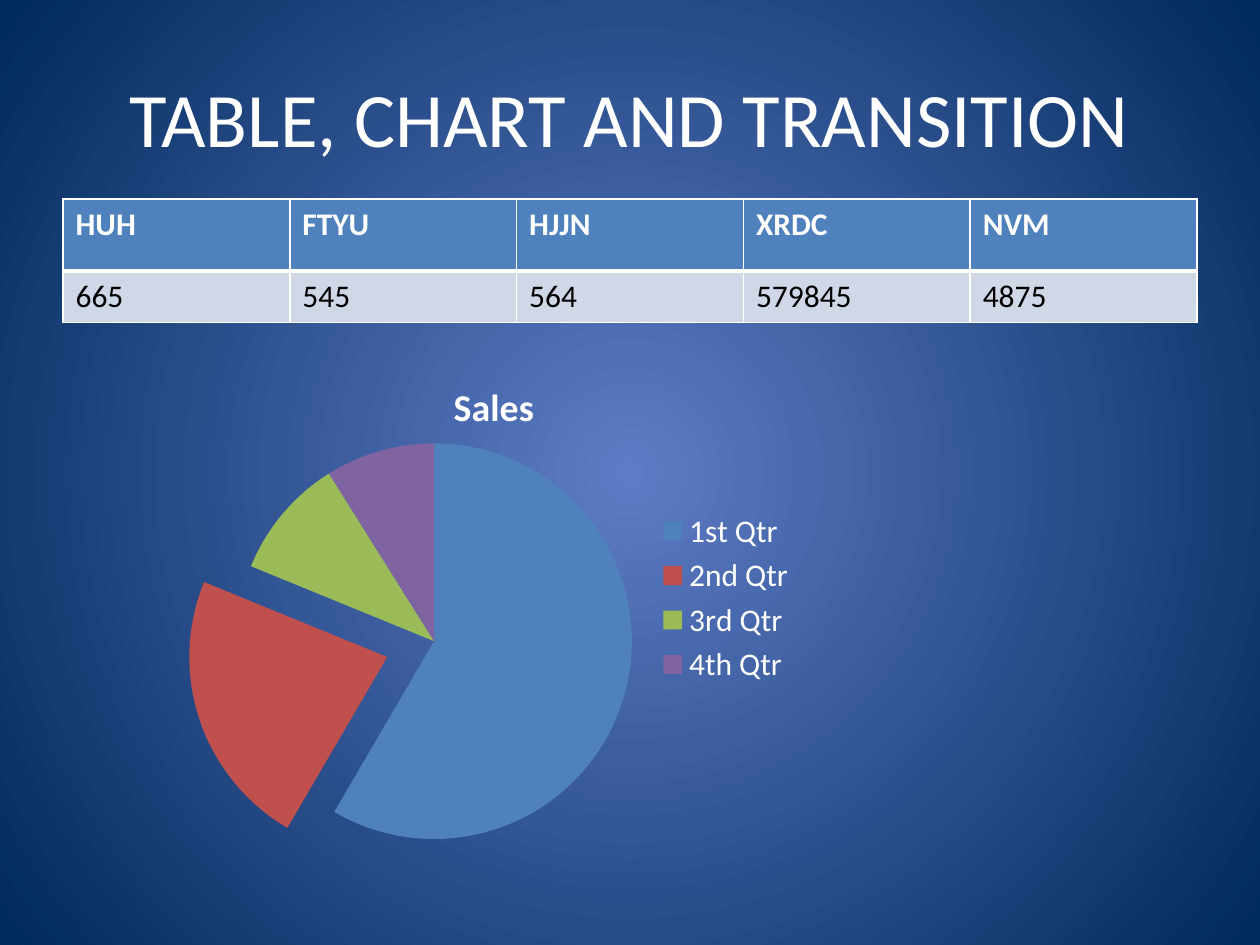
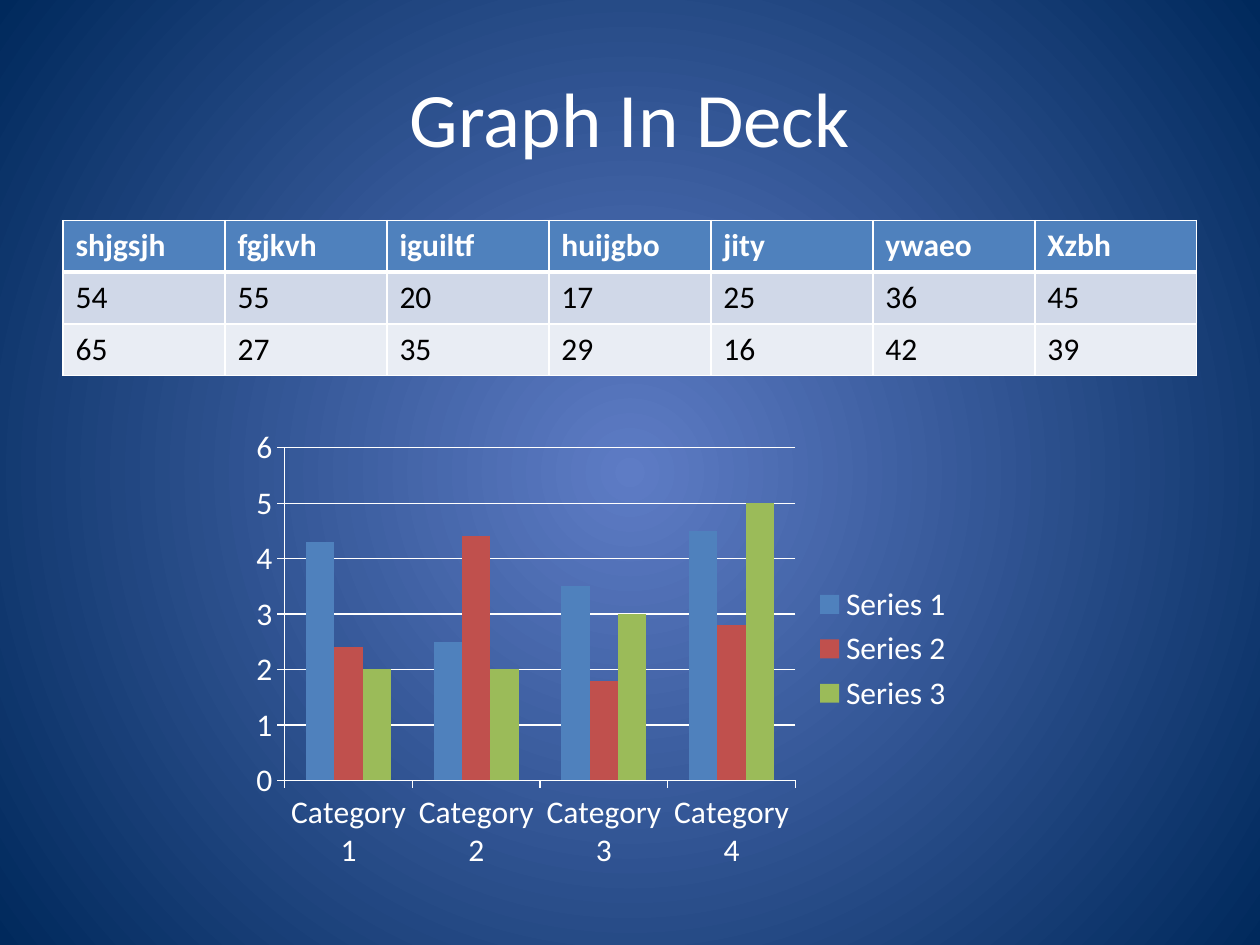
"""Build two slides that each pair a table with a chart."""
from dataclasses import dataclass

from lxml.etree import SubElement
from pptx import Presentation
from pptx.chart.data import CategoryChartData
from pptx.dml.color import RGBColor
from pptx.enum.chart import XL_CHART_TYPE, XL_LEGEND_POSITION, XL_TICK_MARK
from pptx.enum.text import MSO_ANCHOR, PP_ALIGN
from pptx.oxml import parse_xml
from pptx.oxml.ns import nsdecls, qn
from pptx.util import Inches, Pt


@dataclass(frozen=True)
class Theme:
    """Colours, font and type sizes shared by the slides."""

    font: str = "Calibri"
    light: str = "FFFFFF"
    dark: str = "000000"
    glow: str = "5E7CC5"
    edge: str = "00295C"
    header: str = "4F81BD"
    bands: tuple = ("D0D8E8", "E9EDF4")
    accents: tuple = ("4F81BD", "C0504D", "9BBB59", "8064A2")
    title_size: float = 44
    chart_title_size: float = 21.6
    body_size: float = 18
    thin_line: float = 1
    thick_line: float = 3


class Deck:
    """Holds the theme and the current slide, and draws each kind of element."""

    def __init__(self, presentation, theme):
        self.presentation = presentation
        self.theme = theme
        self.slide = None

    def style_font(self, font, size, color, bold=False):
        font.name = self.theme.font
        font.size = Pt(size)
        font.bold = bold
        font.color.rgb = RGBColor.from_string(color)

    def paint(self, fill, color):
        fill.solid()
        fill.fore_color.rgb = RGBColor.from_string(color)

    def add_slide(self, title):
        self.slide = self.presentation.slides.add_slide(self.presentation.slide_layouts[6])
        self.add_background()
        self.add_title(title)

    def add_background(self):
        fill = self.slide.background.fill
        fill.gradient()
        for stop, color in zip(fill.gradient_stops, (self.theme.glow, self.theme.edge)):
            stop.color.rgb = RGBColor.from_string(color)
        gradient = next(self.slide.element.iter(qn("a:gradFill")))
        circle = parse_xml(
            f'<a:path {nsdecls("a")} path="circle">'
            '<a:fillToRect l="50000" t="50000" r="50000" b="50000"/></a:path>'
        )
        gradient.replace(gradient.find(qn("a:lin")), circle)

    def add_title(self, text):
        box = self.slide.shapes.add_textbox(Inches(0.5), Inches(0.3), Inches(9), Inches(1.25))
        frame = box.text_frame
        frame.word_wrap = True
        frame.vertical_anchor = MSO_ANCHOR.MIDDLE
        paragraph = frame.paragraphs[0]
        paragraph.text = text
        paragraph.alignment = PP_ALIGN.CENTER
        self.style_font(paragraph.font, self.theme.title_size, self.theme.light)

    def add_table(self, top, row_heights, rows):
        width = Inches(9)
        column_count = len(rows[0])
        table = self.slide.shapes.add_table(
            len(rows), column_count, Inches(0.5), Inches(top), width, Inches(sum(row_heights))
        ).table
        for column in table.columns:
            column.width = round(width / column_count)
        for row_index, (height, texts) in enumerate(zip(row_heights, rows)):
            table.rows[row_index].height = Inches(height)
            for column_index, text in enumerate(texts):
                self.fill_cell(table.cell(row_index, column_index), text, row_index)

    def fill_cell(self, cell, text, row_index):
        theme = self.theme
        is_header = row_index == 0
        thick_side = {0: "B", 1: "T"}.get(row_index)
        for side in "LRTB":
            self.add_border(cell, side, theme.thick_line if side == thick_side else theme.thin_line)
        self.paint(cell.fill, theme.header if is_header else theme.bands[(row_index - 1) % 2])
        paragraph = cell.text_frame.paragraphs[0]
        paragraph.text = text
        color = theme.light if is_header else theme.dark
        self.style_font(paragraph.font, theme.body_size, color, is_header)

    def add_border(self, cell, side, width):
        properties = cell._tc.get_or_add_tcPr()
        line = SubElement(properties, qn(f"a:ln{side}"), w=str(Pt(width)))
        fill = SubElement(line, qn("a:solidFill"))
        SubElement(fill, qn("a:srgbClr"), val=self.theme.light)

    def add_chart(self, kind, left, top, width, height, categories, series):
        data = CategoryChartData()
        data.categories = categories
        for name, values in series.items():
            data.add_series(name, values)
        chart = self.slide.shapes.add_chart(
            kind, Inches(left), Inches(top), Inches(width), Inches(height), data
        ).chart
        self.style_font(chart.font, self.theme.body_size, self.theme.light)
        chart.has_title = False
        chart.has_legend = True
        chart.legend.position = XL_LEGEND_POSITION.RIGHT
        chart.legend.include_in_layout = False
        return chart

    def add_pie_chart(self, *place, title, categories, values, pulled_point, plot_area):
        chart = self.add_chart(XL_CHART_TYPE.PIE, *place, categories, {title: values})
        chart.has_title = True
        paragraph = chart.chart_title.text_frame.paragraphs[0]
        paragraph.text = title
        self.style_font(paragraph.font, self.theme.chart_title_size, self.theme.light, True)
        chart.chart_title.include_in_layout = False
        chart.plots[0].vary_by_categories = True
        points = chart.plots[0].series[0].points
        for index, color in zip(range(len(values)), self.theme.accents):
            self.paint(points[index].format.fill, color)
        self.pull_out(chart, pulled_point, 25)
        self.place_plot(chart, plot_area)

    def pull_out(self, chart, index, percent):
        point = list(chart.element.iter(qn("c:dPt")))[index]
        explosion = parse_xml(f'<c:explosion {nsdecls("c")} val="{percent}"/>')
        point.find(qn("c:spPr")).addprevious(explosion)

    def place_plot(self, chart, plot_area):
        plot = next(chart.element.iter(qn("c:plotArea")))
        for old_layout in plot.findall(qn("c:layout")):
            plot.remove(old_layout)
        layout = parse_xml(f'<c:layout {nsdecls("c")}><c:manualLayout/></c:layout>')
        settings = {"layoutTarget": "inner", "xMode": "edge", "yMode": "edge"}
        settings.update(zip("xywh", plot_area))
        for name, value in settings.items():
            SubElement(layout[0], qn(f"c:{name}"), val=str(value))
        plot.insert(0, layout)

    def add_column_chart(self, *place, categories, series):
        chart = self.add_chart(XL_CHART_TYPE.COLUMN_CLUSTERED, *place, categories, series)
        plot = chart.plots[0]
        plot.vary_by_categories = False
        plot.gap_width = 150
        for column_series, color in zip(plot.series, self.theme.accents):
            self.paint(column_series.format.fill, color)
        chart.value_axis.has_major_gridlines = True
        lines = [chart.value_axis.major_gridlines.format.line]
        for axis in (chart.category_axis, chart.value_axis):
            axis.major_tick_mark = XL_TICK_MARK.OUTSIDE
            axis.minor_tick_mark = XL_TICK_MARK.NONE
            lines.append(axis.format.line)
        for line in lines:
            line.width = Pt(0.75)
            line.color.rgb = RGBColor.from_string(self.theme.light)


def main():
    presentation = Presentation()
    presentation.slide_width = Inches(10)
    presentation.slide_height = Inches(7.5)
    deck = Deck(presentation, Theme())

    deck.add_slide("TABLE, CHART AND TRANSITION")
    deck.add_table(1.58, (0.57, 0.41), [
        ("HUH", "FTYU", "HJJN", "XRDC", "NVM"),
        ("665", "545", "564", "579845", "4875"),
    ])
    deck.add_pie_chart(
        1.42, 2.83, 5, 3.83,
        title="Sales",
        categories=("1st Qtr", "2nd Qtr", "3rd Qtr", "4th Qtr"),
        values=(59, 23, 10, 9),
        pulled_point=1,
        plot_area=(0.02, 0.18, 0.77, 0.82),
    )

    deck.add_slide("Graph In Deck")
    deck.add_table(1.75, (0.41,) * 3, [
        ("shjgsjh", "fgjkvh", "iguiltf", "huijgbo", "jity", "ywaeo", "Xzbh"),
        ("54", "55", "20", "17", "25", "36", "45"),
        ("65", "27", "35", "29", "16", "42", "39"),
    ])
    deck.add_column_chart(
        1.92, 3.33, 5.75, 3.64,
        categories=[f"Category {number}" for number in range(1, 5)],
        series={
            "Series 1": (4.3, 2.5, 3.5, 4.5),
            "Series 2": (2.4, 4.4, 1.8, 2.8),
            "Series 3": (2, 2, 3, 5),
        },
    )
    presentation.save("out.pptx")


if __name__ == "__main__":
    main()
